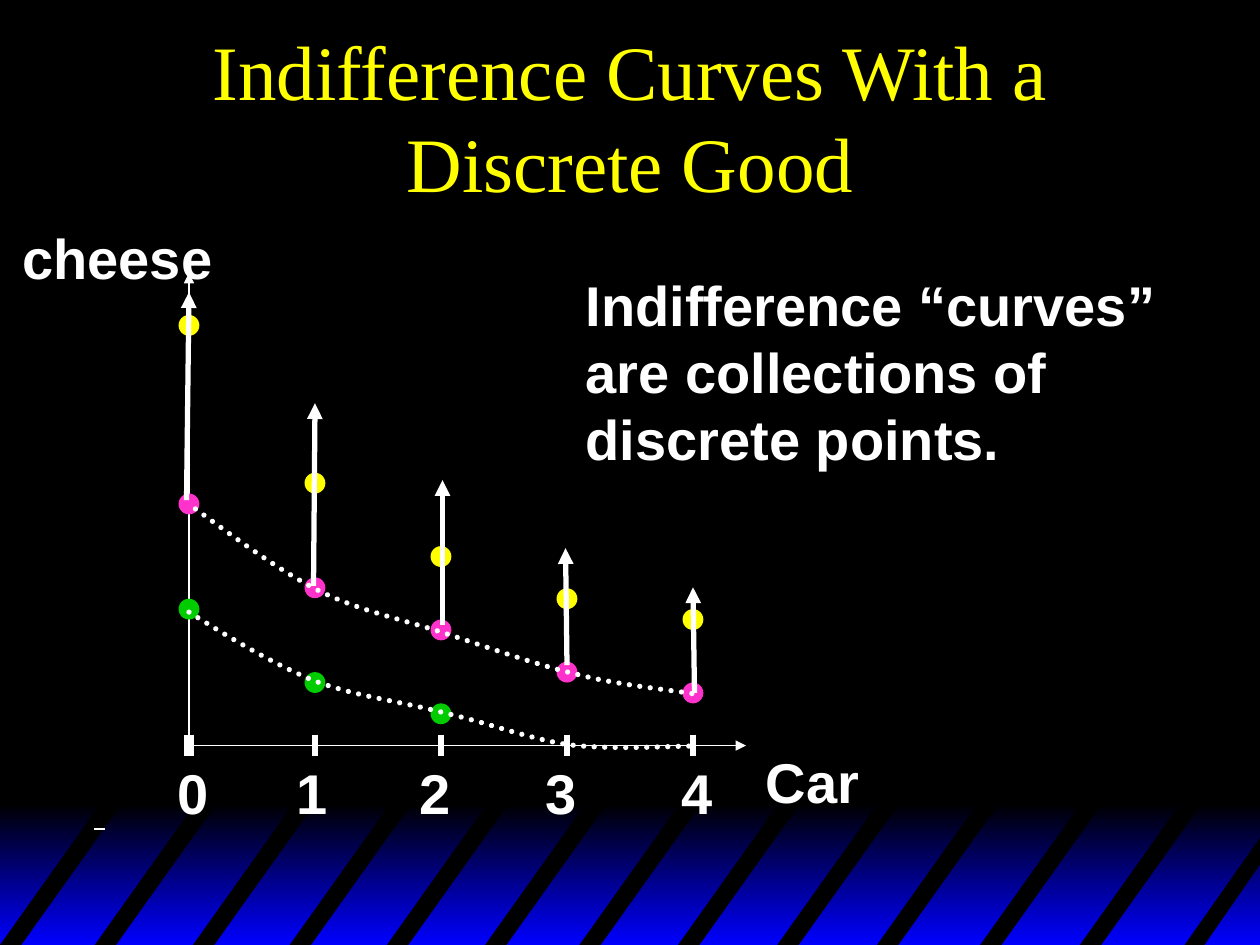
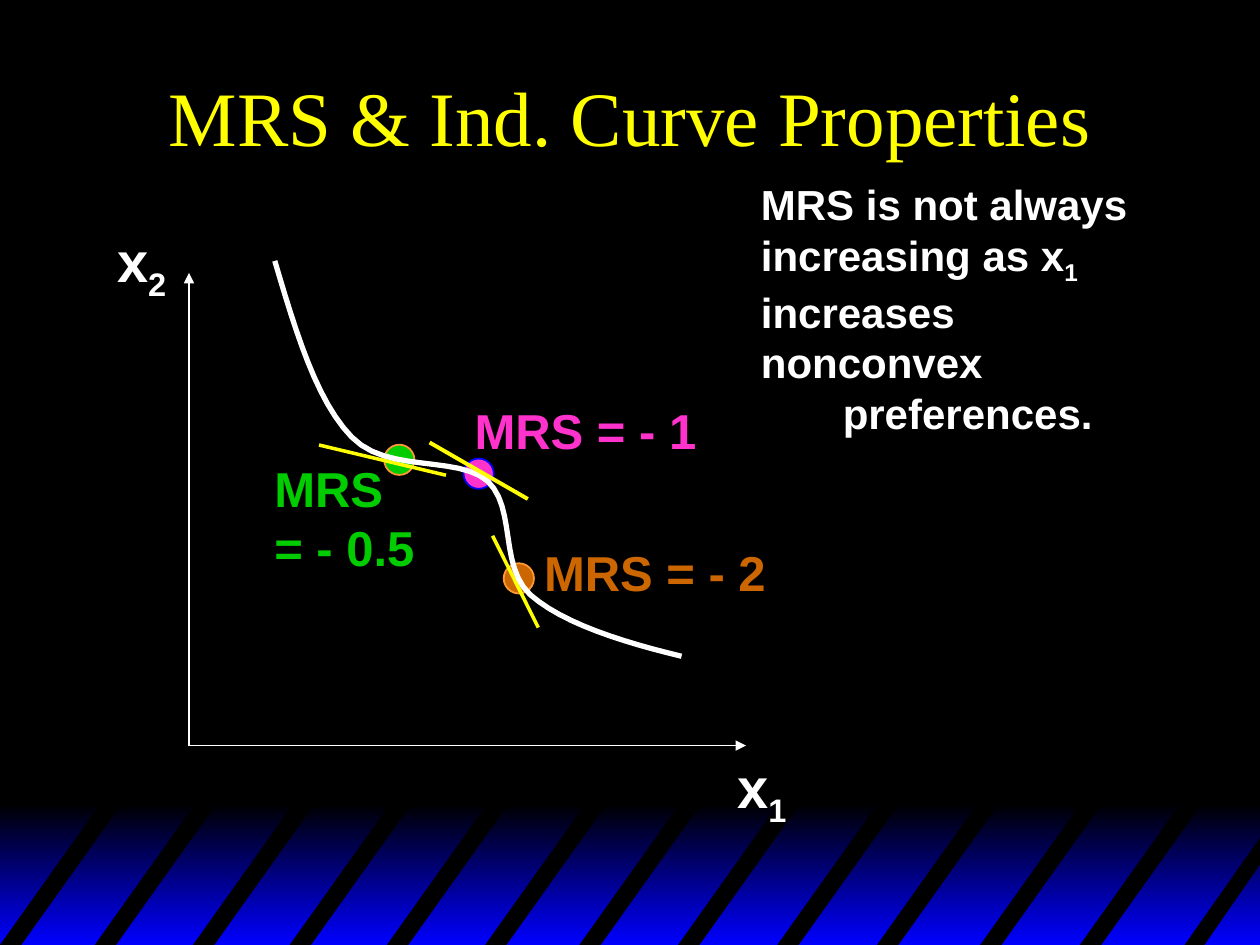
from dataclasses import dataclass
from typing import Any

from lxml import etree
from pptx import Presentation
from pptx.dml.color import RGBColor
from pptx.enum import dml, shapes, text
from pptx.oxml import ns
from pptx.util import Cm, Pt

COLORS = {
    "black": "000000", "white": "FFFFFF", "blue": "0000FF", "yellow": "FFFF00",
    "pink": "FF33CC", "green": "00CC00", "brown": "CC6600", "orange": "FF9933",
}
SLIDE_W, SLIDE_H = 25.4, 19.05
PLOT_LEFT, PLOT_TOP = 3.81, 5.5
AXIS_W, AXIS_H = 11.23, 9.53
CAR_STEP = 2.54
STRIPE_LEFTS = (0, 1.91, 3.89, 5.84, 7.8, 9.78, 11.68, 13.67, 15.67, 17.68, 19.76, 21.77)


def rgb(color):
    return RGBColor.from_string(COLORS[color])


def effect_free(connector):
    etree.SubElement(connector._element.spPr, ns.qn("a:effectLst"))


def bezier_points(knots, steps=12):
    """Points along joined cubic curves: a start, then three knots for each curve."""
    points = [knots[0]]
    for i in range(0, len(knots) - 1, 3):
        a, b, c, d = knots[i:i + 4]
        for step in range(1, steps + 1):
            t = step / steps
            s = 1 - t
            points.append(tuple(
                s**3 * a[k] + 3 * s * s * t * b[k] + 3 * s * t * t * c[k] + t**3 * d[k]
                for k in (0, 1)))
    return points


@dataclass
class Region:
    """An area of a slide; its parts are placed in cm from its top left corner."""
    slide: Any
    left: float = 0
    top: float = 0

    def at(self, x, y):
        return Cm(self.left + x), Cm(self.top + y)

    def line(self, start, end, width, color="white", arrow=False):
        connector = self.slide.shapes.add_connector(
            shapes.MSO_CONNECTOR.STRAIGHT, *self.at(*start), *self.at(*end))
        connector.line.color.rgb = rgb(color)
        connector.line.width = Pt(width)
        if arrow:
            ln = connector._element.spPr.find(ns.qn("a:ln"))
            etree.SubElement(ln, ns.qn("a:tailEnd"), type="triangle")
        effect_free(connector)

    def outline(self, points, close):
        corners = [self.at(*point) for point in points]
        builder = self.slide.shapes.build_freeform(*corners[0])
        builder.add_line_segments(corners[1:], close=close)
        shape = builder.convert_to_shape()
        shape.shadow.inherit = False
        return shape

    def polygon(self, points, color):
        shape = self.outline(points, True)
        shape.fill.solid()
        shape.fill.fore_color.rgb = rgb(color)
        shape.line.fill.background()

    def curve(self, knots, dotted=False):
        shape = self.outline(bezier_points(knots), False)
        shape.fill.background()
        shape.line.color.rgb = rgb("white")
        shape.line.width = Pt(3)
        if dotted:
            shape.line.dash_style = dml.MSO_LINE.ROUND_DOT
            shape._element.spPr.find(ns.qn("a:ln")).set("cap", "rnd")

    def dot(self, center, size, color, edge=None):
        x, y = center
        shape = self.slide.shapes.add_shape(
            shapes.MSO_SHAPE.OVAL, *self.at(x - size / 2, y - size / 2), Cm(size), Cm(size))
        shape.shadow.inherit = False
        shape.fill.solid()
        shape.fill.fore_color.rgb = rgb(color)
        if edge:
            shape.line.color.rgb = rgb(edge)
            shape.line.width = Pt(1)
        else:
            shape.line.fill.background()

    def label(self, box, lines, size=32, color="white", font="Arial", bold=True, wrap=False):
        """Text, one paragraph a line; the character after "_" is a subscript."""
        x, y, width, height = box
        frame = self.slide.shapes.add_textbox(*self.at(x, y), Cm(width), Cm(height)).text_frame
        frame.word_wrap = wrap
        for i, line in enumerate(lines):
            paragraph = frame.add_paragraph() if i else frame.paragraphs[0]
            base, *subscripted = line.split("_")
            paragraph.add_run().text = base
            for part in subscripted:
                subscript = paragraph.add_run()
                subscript.text = part[0]
                subscript._r.get_or_add_rPr().set("baseline", "-25000")
                if part[1:]:
                    paragraph.add_run().text = part[1:]
            paragraph.font.name = font
            paragraph.font.size = Pt(size)
            paragraph.font.bold = bold
            paragraph.font.color.rgb = rgb(color)
        return frame


def striped_band(band):
    """Gradient strip along the slide's foot, cut by slanted black stripes."""
    strip = band.slide.shapes.add_shape(
        shapes.MSO_SHAPE.RECTANGLE, *band.at(0, 0.1), Cm(SLIDE_W), Cm(2.85))
    strip.shadow.inherit = False
    strip.line.fill.background()
    strip.fill.gradient()
    strip.fill.gradient_angle = 270
    for stop, color in zip(strip.fill.gradient_stops, ("black", "blue")):
        stop.color.rgb = rgb(color)
    foot, slant, width = 2.95, 2.1, 0.43
    for x in STRIPE_LEFTS:
        band.polygon([(x, foot), (x + slant, 0), (x + slant + width, 0), (x + width, foot)],
                     "black")
    band.polygon([(23.88, foot), (SLIDE_W, 0.79), (SLIDE_W, 1.33), (24.28, foot)], "black")


def start_slide(prs, title):
    slide = prs.slides.add_slide(prs.slide_layouts[6])
    striped_band(Region(slide, 0, 16.1))
    frame = Region(slide).label((1.91, 0.64, 21.59, 3.39), [title], 44, "yellow",
                                "Times New Roman", False, True)
    frame.vertical_anchor = text.MSO_ANCHOR.MIDDLE
    frame.paragraphs[0].alignment = text.PP_ALIGN.CENTER
    return slide


def axes(plot):
    plot.line((0, AXIS_H), (0, 0), 1, arrow=True)
    plot.line((0, AXIS_H), (AXIS_W, AXIS_H), 1, arrow=True)


def discrete_good_plot(plot):
    axes(plot)
    plot.label((-3.61, -1.11, 4.42, 1.6), ["cheese"], wrap=True)
    plot.label((11.38, 9.44, 2.39, 1.6), ["Car"])
    plot.line((-1.7, 11.21), (-1.91, 11.21), 1)

    for cars, label_left in enumerate((-0.48, 1.91, 4.39, 6.93, 9.68)):
        x = cars * CAR_STEP
        plot.line((x, AXIS_H - 0.22), (x, AXIS_H + 0.21), 4 if cars else 6)
        plot.label((label_left, 9.66, 1.14, 1.6), [str(cars)])

    bundles = {
        "yellow": (1.06, 4.24, 5.72, 6.57, 6.99),
        "pink": (4.66, 6.35, 7.2, 8.05, 8.47),
        "green": (6.78, 8.26, 8.89),
    }
    for color, heights in bundles.items():
        for cars, y in enumerate(heights):
            plot.dot((cars * CAR_STEP, y), 0.42, color)

    plot.label((7.75, -0.17, 12.01, 4.32),
               ["Indifference “curves”", "are collections of", "discrete points."])

    more_cheese = [
        ((-0.05, 4.58), (0, 0.39)),
        ((2.51, 6.31), (2.54, 2.63)),
        ((5.11, 7.1), (5.11, 4.18)),
        ((7.62, 7.91), (7.59, 5.55)),
        ((10.19, 8.47), (10.16, 6.34)),
    ]
    for start, tip in more_cheese:
        plot.line(start, tip, 3, arrow=True)

    plot.curve([(0.13, 4.76), (0.97, 5.37), (1.78, 5.98), (2.62, 6.41),
                (3.45, 6.82), (4.24, 6.97), (5.11, 7.25),
                (5.97, 7.53), (6.96, 7.89), (7.8, 8.09),
                (8.66, 8.32), (9.83, 8.42), (10.24, 8.5)], dotted=True)
    plot.curve([(0, 6.84), (0.81, 7.35), (1.65, 7.86), (2.51, 8.22),
                (3.38, 8.55), (4.34, 8.65), (5.18, 8.88),
                (6.05, 9.08), (6.81, 9.38), (7.62, 9.51),
                (8.43, 9.61), (9.3, 9.56), (10.13, 9.54)], dotted=True)


def nonconvex_plot(plot):
    axes(plot)
    plot.label((-1.7, -1.05, 1.7, 1.8), ["x_2"], wrap=True)
    plot.label((10.8, 9.54, 1.9, 1.8), ["x_1"], wrap=True)

    plot.dot((5.84, 4.05), 0.61, "pink", "blue")
    plot.dot((4.24, 3.77), 0.61, "green", "orange")
    plot.dot((6.65, 6.16), 0.61, "brown", "orange")
    plot.line((2.62, 3.47), (5.18, 4.08), 2, "yellow")
    plot.line((6.12, 5.3), (7.04, 7.15), 2, "yellow")

    plot.label((1.47, 3.62, 3.33, 2.64), ["MRS", "= - 0.5"], 28, "green")
    plot.label((5.51, 2.45, 4.98, 1.45), ["MRS = - 1"], 28, "pink")
    plot.label((6.91, 5.32, 4.98, 1.45), ["MRS = - 2"], 28, "brown")
    remark = plot.label(
        (11.28, -2.02, 10.31, 5.49),
        ["MRS is not always increasing as x_1 increases", "nonconvex", "preferences."],
        24, wrap=True)
    remark.paragraphs[-1]._p.get_or_add_pPr().set("marL", str(Cm(1.65)))

    plot.curve([(1.73, -0.24), (2.16, 1.21), (2.57, 2.58), (3.28, 3.31),
                (3.99, 4.05), (5.41, 3.67), (6.02, 4.2),
                (6.6, 4.74), (6.25, 5.9), (6.88, 6.49),
                (7.54, 7.07), (8.76, 7.45), (9.93, 7.73)])
    plot.line((4.85, 3.42), (6.83, 4.56), 2.25, "yellow")


def main():
    prs = Presentation()
    prs.slide_width, prs.slide_height = Cm(SLIDE_W), Cm(SLIDE_H)
    backdrop = prs.slide_master.background.fill
    backdrop.solid()
    backdrop.fore_color.rgb = rgb("black")

    for title, draw_plot in (
        ("Indifference Curves With a Discrete Good", discrete_good_plot),
        ("MRS & Ind. Curve Properties", nonconvex_plot),
    ):
        draw_plot(Region(start_slide(prs, title), PLOT_LEFT, PLOT_TOP))
    prs.save("out.pptx")


if __name__ == "__main__":
    main()
